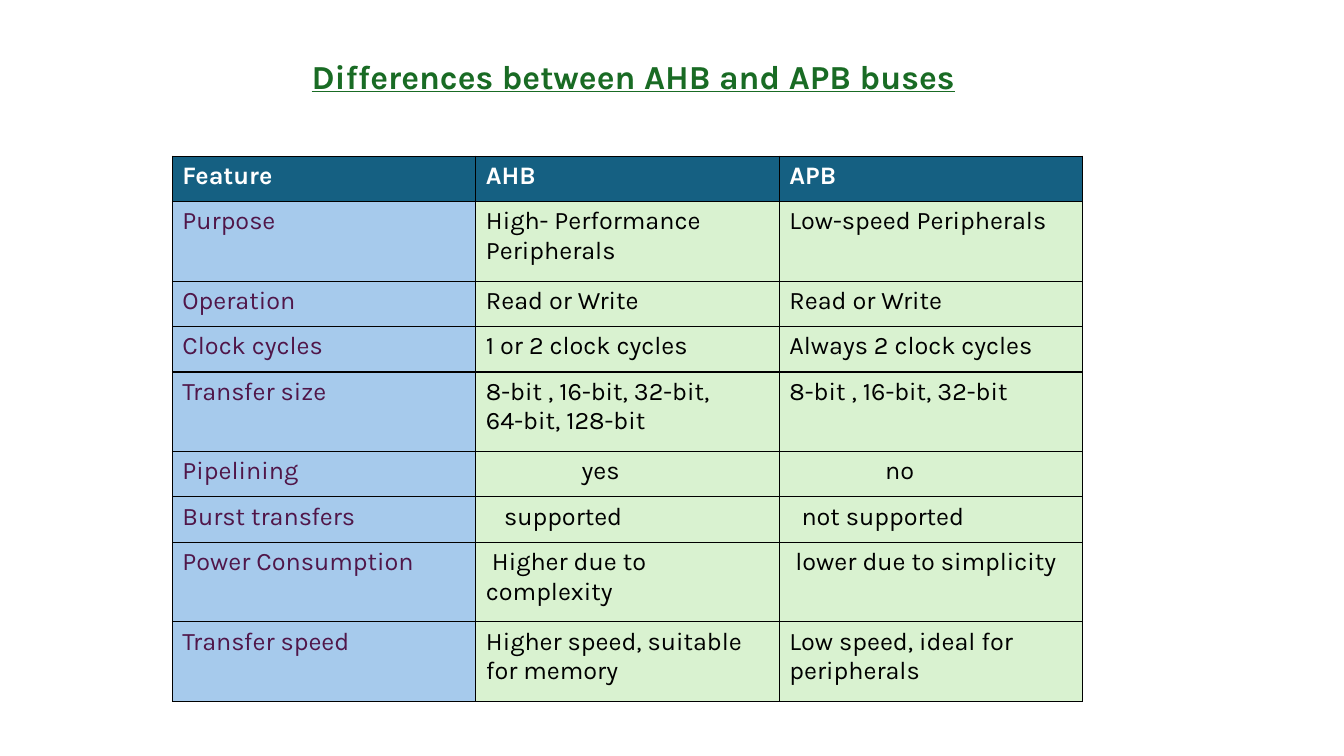
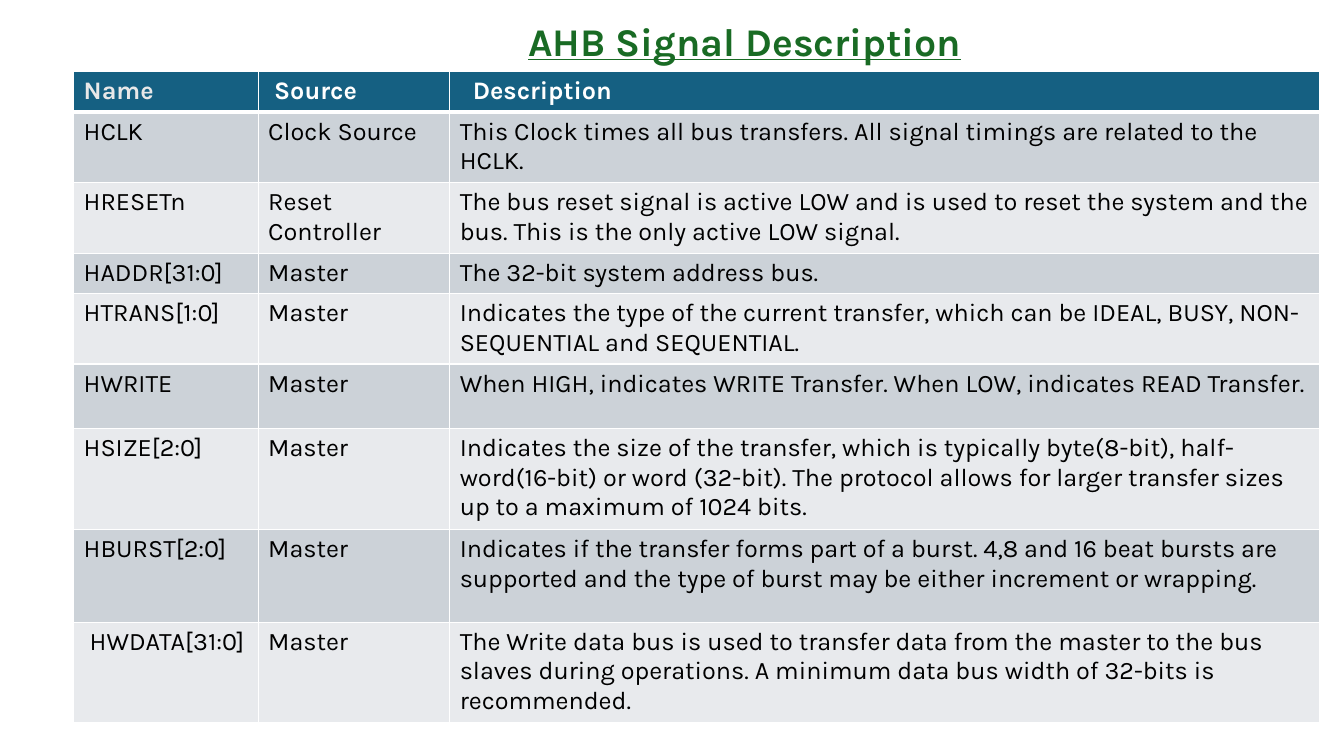
import pptx
import pptx.util
import pptx.dml.color
import pptx.oxml.ns
import lxml.etree

Inches = pptx.util.Inches
Pt = pptx.util.Pt
RGBColor = pptx.dml.color.RGBColor

# Shared look
FONT = "Karla"
GREEN = RGBColor(0x19, 0x6B, 0x24)
TEAL = RGBColor(0x15, 0x60, 0x82)
BLUE = RGBColor(0xA6, 0xCA, 0xEC)
MINT = RGBColor(0xD9, 0xF2, 0xD0)
PLUM = RGBColor(0x50, 0x16, 0x49)
GREY = RGBColor(0xCC, 0xD2, 0xD8)
PALE = RGBColor(0xE8, 0xEA, 0xED)
SILVER = RGBColor(0xE8, 0xE8, 0xE8)
BLACK = RGBColor(0, 0, 0)
WHITE = RGBColor(0xFF, 0xFF, 0xFF)


def add_title(page, text, size, frame, inset):
    box = page.shapes.add_textbox(*[Inches(length) for length in frame])
    box.text_frame.word_wrap = True
    box.text_frame.margin_left = Inches(inset)
    para = box.text_frame.paragraphs[0]
    para.text = text
    para.line_spacing = 0.9
    para.font.name = FONT
    para.font.size = Pt(size)
    para.font.bold = True
    para.font.underline = True
    para.font.color.rgb = GREEN


def style_cell(cell, text, fill, color, bold, indent, line_color, line_widths):
    cell.text = text
    for para in cell.text_frame.paragraphs:
        para.font.name = FONT
        para.font.size = Pt(18)
        para.font.bold = bold
        para.font.color.rgb = color
        if indent:
            properties = para._p.get_or_add_pPr()
            properties.set("marL", "0")
            properties.set("indent", str(Inches(indent)))
    # Borders come before the fill in the cell properties
    properties = cell._tc.get_or_add_tcPr()
    qn = pptx.oxml.ns.qn
    for side in "LRTB":
        line = lxml.etree.SubElement(properties, qn("a:ln" + side),
                                     w=str(Pt(line_widths.get(side, 1))))
        solid = lxml.etree.SubElement(line, qn("a:solidFill"))
        lxml.etree.SubElement(solid, qn("a:srgbClr"), val=str(line_color))
    cell.fill.solid()
    cell.fill.fore_color.rgb = fill


# Content of the two slides; indents move the first line of a cell
bus_rows = [
    ("Feature", "AHB", "APB"),
    ("Purpose", "High- Performance Peripherals", "Low-speed Peripherals"),
    ("Operation", "Read or Write", "Read or Write"),
    ("Clock cycles", "1 or 2 clock cycles", "Always 2 clock cycles"),
    ("Transfer size", "8-bit , 16-bit, 32-bit,\n64-bit, 128-bit",
     "8-bit , 16-bit, 32-bit"),
    ("Pipelining", "yes", "no"),
    ("Burst transfers", "supported", "not supported"),
    ("Power Consumption", "Higher due to complexity", "lower due to simplicity"),
    ("Transfer speed", "Higher speed, suitable for memory",
     "Low speed, ideal for peripherals"),
]
signal_rows = [
    ("Name", "Source", "Description"),
    ("HCLK", "Clock Source",
     "This Clock times all bus transfers. All signal timings are related to "
     "the HCLK."),
    ("HRESETn", "Reset Controller",
     "The bus reset signal is active LOW and is used to reset the system and "
     "the bus. This is the only active LOW signal."),
    ("HADDR[31:0]", "Master", "The 32-bit system address bus."),
    ("HTRANS[1:0]", "Master",
     "Indicates the type of the current transfer, which can be IDEAL, BUSY, "
     "NON-SEQUENTIAL and SEQUENTIAL."),
    ("HWRITE", "Master",
     "When HIGH, indicates WRITE Transfer. When LOW, indicates READ Transfer."),
    ("HSIZE[2:0]", "Master",
     "Indicates the size of the transfer, which is typically byte(8-bit), "
     "half-word(16-bit) or word (32-bit). The protocol allows for larger "
     "transfer sizes up to a maximum of 1024 bits."),
    ("HBURST[2:0]", "Master",
     "Indicates if the transfer forms part of a burst. 4,8 and 16 beat bursts "
     "are supported and the type of burst may be either increment or wrapping."),
    ("HWDATA[31:0]", "Master",
     "The Write data bus is used to transfer data from the master to the bus "
     "slaves during operations. A minimum data bus width of 32-bits is "
     "recommended."),
]
slides = [
    dict(title="Differences between AHB and APB buses", size=24,
         frame=(2.9, 0.55, 6.67, 0.56), inset=0.19,
         rows=bus_rows, left=1.71, top=1.55, widths=[3.01] * 3,
         heights=[0.45, 0.79, 0.45, 0.45, 0.79, 0.45, 0.45, 0.79, 0.79],
         header_colors=[WHITE] * 3, text_colors=[PLUM, BLACK, BLACK],
         fills=[[BLUE, MINT, MINT]], line_color=BLACK, header_line=1,
         indents={(5, 1): 0.95, (5, 2): 0.95, (6, 1): 0.18, (6, 2): 0.12,
                  (7, 1): 0.06, (7, 2): 0.06}),
    dict(title="AHB Signal Description", size=28,
         frame=(0.33, 0.18, 12.63, 7.13), inset=4.91,
         rows=signal_rows, left=0.73, top=0.71, widths=[1.83, 1.9, 8.63],
         heights=[0.39, 0.69, 0.69, 0.39, 0.69, 0.64, 0.98, 0.92, 0.98],
         header_colors=[SILVER, WHITE, WHITE], text_colors=[BLACK] * 3,
         fills=[[GREY] * 3, [PALE] * 3], line_color=WHITE, header_line=3,
         indents={(0, 1): 0.06, (0, 2): 0.13, (8, 0): 0.06}),
]

deck = pptx.Presentation()
deck.slide_width = Inches(13.33)
deck.slide_height = Inches(7.5)

for content in slides:
    page = deck.slides.add_slide(deck.slide_layouts[6])
    add_title(page, content["title"], content["size"], content["frame"],
              content["inset"])

    # Table grid
    rows, widths, heights = content["rows"], content["widths"], content["heights"]
    table = page.shapes.add_table(
        len(rows), len(widths), Inches(content["left"]), Inches(content["top"]),
        Inches(sum(widths)), Inches(sum(heights))).table
    table.horz_banding = False
    for column, width in zip(table.columns, widths):
        column.width = Inches(width)
    for row, height in zip(table.rows, heights):
        row.height = Inches(height)

    # Header row, then body rows with repeating fills
    for r, texts in enumerate(rows):
        header = r == 0
        colors = content["header_colors"] if header else content["text_colors"]
        fills = [TEAL] * 3 if header else content["fills"][(r - 1) % len(content["fills"])]
        thick_side = {0: "B", 1: "T"}.get(r)
        for c, text in enumerate(texts):
            style_cell(table.cell(r, c), text, fills[c], colors[c], header,
                       content["indents"].get((r, c)), content["line_color"],
                       {thick_side: content["header_line"]})

deck.save("out.pptx")
